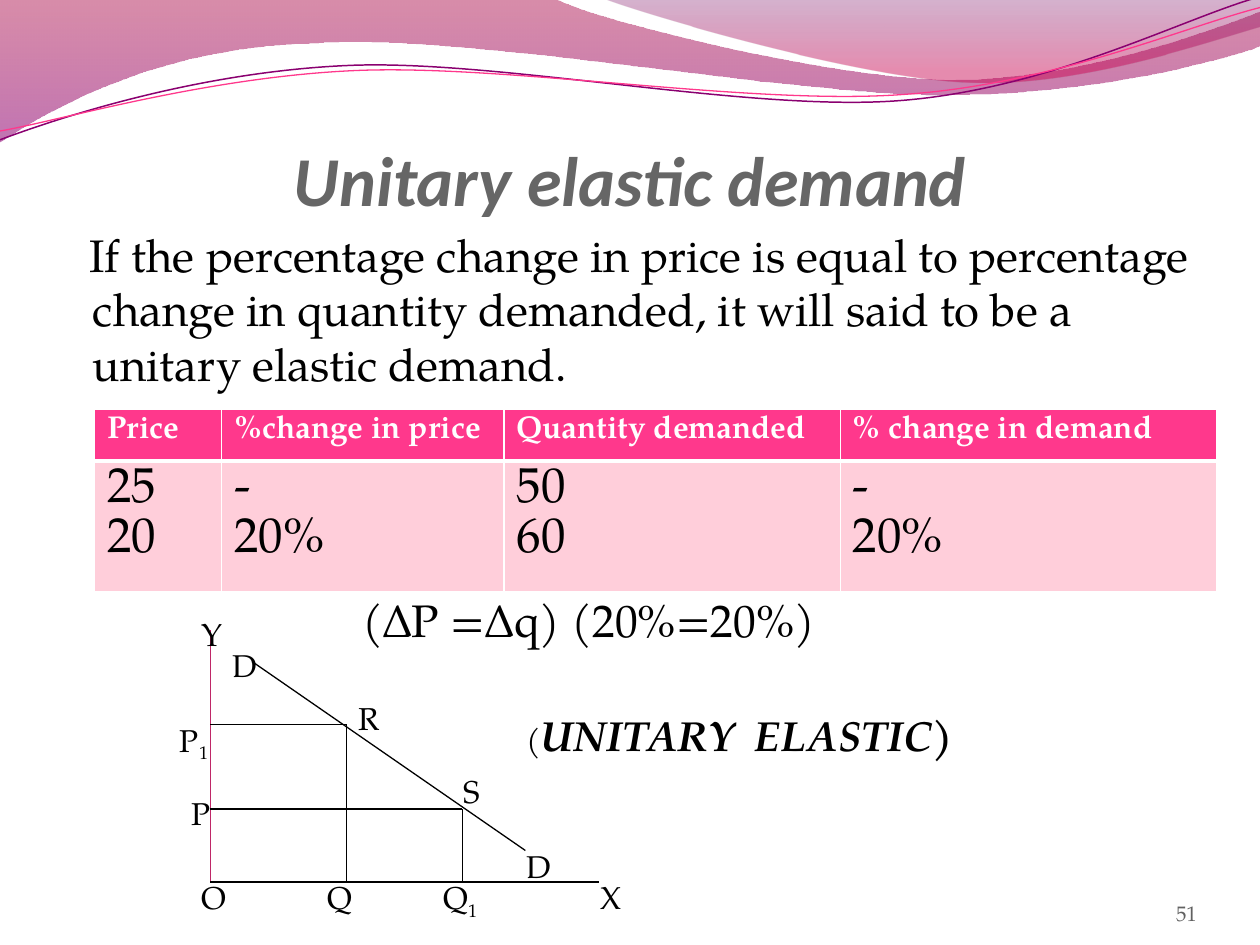
from lxml.etree import SubElement
from pptx import Presentation
from pptx.dml.color import RGBColor
from pptx.enum.shapes import MSO_CONNECTOR
from pptx.enum.text import MSO_ANCHOR, PP_ALIGN
from pptx.oxml.ns import qn
from pptx.util import Inches, Pt

BLACK = RGBColor(0x00, 0x00, 0x00)
WHITE = RGBColor(0xFF, 0xFF, 0xFF)
TITLE_GRAY = RGBColor(0x66, 0x66, 0x66)
NUMBER_GRAY = RGBColor(0x61, 0x61, 0x61)
PINK = RGBColor(0xFF, 0x38, 0x8C)
PALE_PINK = RGBColor(0xFF, 0xCE, 0xDA)
AXIS_PINK = RGBColor(0xBF, 0x27, 0x67)
PURPLE = RGBColor(0x8A, 0x00, 0x70)
CRIMSON = RGBColor(0xA9, 0x00, 0x42)
VIOLET = RGBColor(0x8E, 0x00, 0x73)
PLUM = RGBColor(0x73, 0x00, 0x5E)
ROSE = RGBColor(0xC9, 0x00, 0x4F)
SERIF = "TeX Gyre Pagella"


def add_outline(s, start, segments, close):
    """Outline of straight (2 numbers) and cubic Bezier (6 numbers) segments."""
    points = [(Inches(seg[i]), Inches(seg[i + 1]))
              for seg in segments for i in range(0, len(seg), 2)]
    builder = s.shapes.build_freeform(Inches(start[0]), Inches(start[1]), scale=1.0)
    builder.add_line_segments(points, close=close)
    sp = builder.convert_to_shape()
    sp.shadow.inherit = False
    # Join every three points of a Bezier segment into one curve
    steps = iter(sp._element.spPr.findall(".//" + qn("a:lnTo")))
    for seg in segments:
        group = [next(steps) for _ in range(len(seg) // 2)]
        if len(group) == 3:
            curve = group[0].makeelement(qn("a:cubicBezTo"), {})
            group[0].addprevious(curve)
            for step in group:
                curve.append(step[0])
                step.getparent().remove(step)
    return sp


def add_wave(s, start, segments, stops):
    sp = add_outline(s, start, segments, True)
    sp.line.fill.background()
    sp.fill.gradient()
    sp.fill.gradient_angle = 270
    for stop, (position, color, _) in zip(sp.fill.gradient_stops, stops):
        stop.position = position
        stop.color.rgb = color
    colors = sp._element.spPr.findall(".//" + qn("a:srgbClr"))
    for clr, (_, _, opacity) in zip(colors, stops):
        SubElement(clr, qn("a:alpha"), val=str(opacity * 1000))


def add_ribbon(s, start, segments, color, width):
    sp = add_outline(s, start, segments, False)
    sp.fill.background()
    sp.line.color.rgb = color
    sp.line.width = Pt(width)


def add_line(s, x1, y1, x2, y2, color=BLACK):
    line = s.shapes.add_connector(MSO_CONNECTOR.STRAIGHT, Inches(x1), Inches(y1),
                                  Inches(x2), Inches(y2))
    line.line.color.rgb = color
    line.line.width = Pt(0.75)
    SubElement(line._element.spPr, qn("a:effectLst"))


def set_font(font, size, color=BLACK, name=SERIF, bold=False, italic=False):
    font.size, font.name, font.bold, font.italic = Pt(size), name, bold, italic
    font.color.rgb = color


def add_text(s, text, left, top, width, height, size, color=BLACK, name=SERIF,
             bold=False, italic=False, align=PP_ALIGN.LEFT):
    tf = s.shapes.add_textbox(Inches(left), Inches(top), Inches(width),
                              Inches(height)).text_frame
    tf.word_wrap = True
    p = tf.paragraphs[0]
    p.alignment = align
    p.add_run().text = text
    set_font(p.font, size, color, name, bold, italic)
    return tf


def anchor_to_bottom(tf):
    tf.vertical_anchor = MSO_ANCHOR.BOTTOM
    tf.margin_left = tf.margin_right = tf.margin_bottom = 0


def set_indent(p, left, first):
    p_pr = p._p.get_or_add_pPr()
    p_pr.set("marL", str(Inches(left)))
    p_pr.set("indent", str(Inches(first)))


def add_label(s, text, left, top, width=0.37, sub=""):
    tf = add_text(s, text, left, top, width, 0.4, 18)
    if sub:
        r = tf.paragraphs[0].add_run()
        r.text = sub
        r._r.get_or_add_rPr().set("baseline", "-25000")


def set_borders(cell, bottom):
    tc_pr = cell._tc.get_or_add_tcPr()
    for i, (side, width) in enumerate(zip("LRTB", (1, 1, 1, bottom))):
        ln = tc_pr.makeelement(qn("a:ln" + side), {"w": str(Pt(width))})
        fill = SubElement(ln, qn("a:solidFill"))
        SubElement(fill, qn("a:srgbClr"), val=str(WHITE))
        tc_pr.insert(i, ln)


def add_demand_table(s):
    columns = [("Price", "25\n20", 1.01), ("%change in price", "-\n20%", 2.24),
               ("Quantity demanded", "50\n60", 2.67),
               ("% change in demand", "-\n20%", 2.99)]
    table = s.shapes.add_table(2, len(columns), Inches(0.75), Inches(3.25),
                               Inches(8.91), Inches(1.28)).table
    table.rows[0].height, table.rows[1].height = Inches(0.41), Inches(0.87)
    styles = [(PINK, 18, WHITE, True, 3), (PALE_PINK, 28, BLACK, False, 1)]
    for col, (head, values, width) in enumerate(columns):
        table.columns[col].width = Inches(width)
        for row, text in enumerate((head, values)):
            fill, size, color, bold, bottom = styles[row]
            cell = table.cell(row, col)
            cell.text = text
            cell.fill.solid()
            cell.fill.fore_color.rgb = fill
            set_borders(cell, bottom)
            for p in cell.text_frame.paragraphs:
                set_font(p.font, size, color, bold=bold)


def add_background(s):
    add_wave(s, (0, 0), [
        (4.4, -0.01), (4.76, 0.17, 6.64, 0.63, 7.58, 0.63),
        (8.53, 0.63, 9.58, 0.26, 10, 0.09), (10.01, 0.36),
        (9.83, 0.44, 8.7, 0.76, 7.46, 0.75), (6.22, 0.75, 3.82, 0.28, 2.57, 0.34),
        (1.29, 0.36, 0.46, 0.83, -0.01, 1.13)],
        [(0, CRIMSON, 45), (1, VIOLET, 55)])
    add_wave(s, (4.79, -0.01), [
        (5.09, 0.11, 6.82, 0.62, 7.69, 0.65), (8.56, 0.69, 9.61, 0.32, 10, 0.21),
        (10, 0)], [(0, PLUM, 30), (0.8, ROSE, 45)])
    add_ribbon(s, (0, 1.11), [
        (0.48, 0.93, 1.58, 0.57, 2.77, 0.52), (3.95, 0.47, 5.93, 0.89, 7.13, 0.8),
        (8.33, 0.71, 9.38, 0.15, 9.98, -0.02)], PURPLE, 0.85)
    add_ribbon(s, (0, 1.04), [
        (0.47, 0.96, 1.64, 0.61, 2.83, 0.56), (4.03, 0.51, 5.97, 0.84, 7.17, 0.75),
        (8.36, 0.67, 9.41, 0.21, 10, 0.06)], PINK, 0.75)


def add_demand_graph(s):
    origin_x, origin_y = 1.67, 7
    add_line(s, origin_x, 5, origin_x, origin_y, AXIS_PINK)
    add_line(s, origin_x, origin_y, 4.75, origin_y)
    add_line(s, 2, 5.25, 4.17, 6.75)
    # Guides from each point on the curve to both axes
    for x, y in [(2.75, 5.75), (3.67, 6.42)]:
        add_line(s, origin_x, y, x, y)
        add_line(s, x, y, x, origin_y)
    for label in [("P", 1.42, 6.25), ("P", 1.33, 5.67, 0.75, "1"), ("Y", 1.5, 4.83),
                  ("O", 1.5, 6.92), ("Q", 2.5, 6.92), ("Q", 3.42, 6.92, 0.58, "1"),
                  ("X", 4.67, 6.92), ("D", 4.08, 6.67), ("D", 1.75, 5.08),
                  ("R", 2.75, 5.5), ("S", 3.58, 6.08, 0.7)]:
        add_label(s, *label)


def main():
    prs = Presentation()
    prs.slide_width, prs.slide_height = Inches(10), Inches(7.5)
    s = prs.slides.add_slide(prs.slide_layouts[6])
    add_background(s)

    # Title
    anchor_to_bottom(add_text(s, "Unitary elastic demand", 0.5, 0.77, 9, 0.98, 40,
                              TITLE_GRAY, "Calibri", True, True, PP_ALIGN.CENTER))

    # Definition, with the formula below the table
    tf = add_text(s, "If the percentage change in price is equal to percentage change "
                  "in quantity demanded, it will said to be a unitary elastic demand.",
                  0.33, 1.75, 9.33, 5.58, 26)
    set_indent(tf.paragraphs[0], 0.31, -0.03)
    p = tf.add_paragraph()
    p.text = "(∆P =∆q) (20%=20%)"
    p.space_before = Pt(115)
    set_indent(p, 2.45, 0)
    set_font(p.font, 26)

    # Table and graph
    add_demand_table(s)
    add_demand_graph(s)

    # Graph caption
    tf = add_text(s, "(", 4.08, 5.58, 4.25, 0.5, 18)
    r = tf.paragraphs[0].add_run()
    r.text = "UNITARY  ELASTIC)"
    set_font(r.font, 24, bold=True, italic=True)

    # Slide number
    anchor_to_bottom(add_text(s, "51", 8.67, 6.95, 0.83, 0.4, 12, NUMBER_GRAY,
                              align=PP_ALIGN.RIGHT))
    prs.save("out.pptx")


if __name__ == "__main__":
    main()
